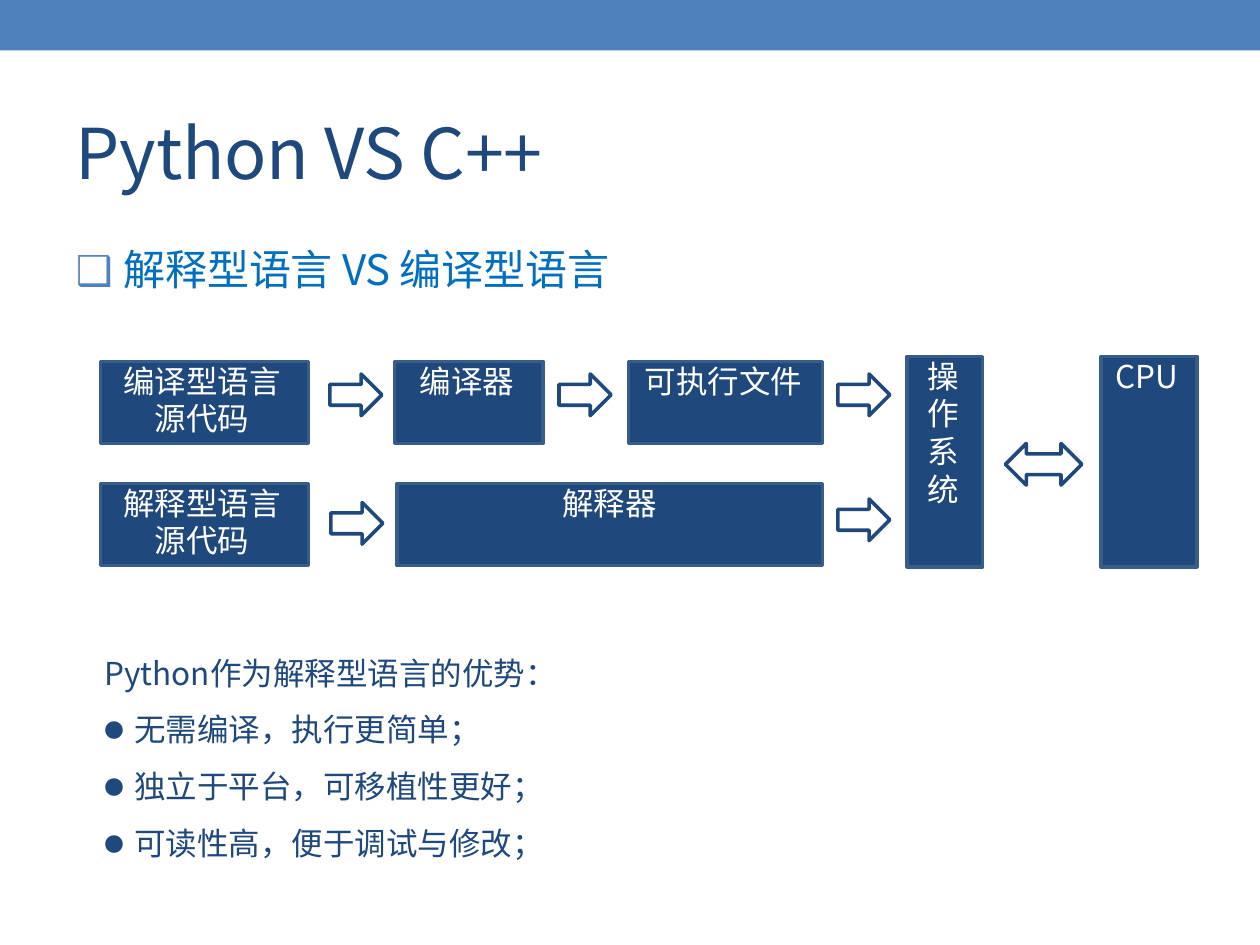
from pptx import Presentation
from pptx.dml.color import RGBColor
from pptx.enum.shapes import MSO_SHAPE
from pptx.enum.text import MSO_ANCHOR, PP_ALIGN
from pptx.oxml.ns import qn
from pptx.util import Cm, Pt

RECT, ARROW, TWO_WAY = MSO_SHAPE.RECTANGLE, MSO_SHAPE.RIGHT_ARROW, MSO_SHAPE.LEFT_RIGHT_ARROW
TOP = MSO_ANCHOR.TOP
LEFT, CENTER = PP_ALIGN.LEFT, PP_ALIGN.CENTER
CJK_FONT, SYMBOL_FONT = "Noto Sans CJK SC", "Karla"
NAVY, BLUE, SKY, EDGE, WHITE = "1F487C", "4F81BC", "006FC0", "385D89", "FFFFFF"
BOX_HEIGHT, ROW_PITCH = 1.65, 2.46


def rgb(color):
    return RGBColor.from_string(color)


def style_run(run, size, color, font=CJK_FONT, spacing=0):
    """Spacing is the tracking in points."""
    run.font.size = Pt(size)
    run.font.name = font
    run.font.color.rgb = rgb(color)
    properties = run.font._element
    properties.set("spc", str(round(spacing * 100)))
    east_asian = properties.makeelement(qn("a:ea"), {"typeface": font})
    properties.find(qn("a:latin")).addnext(east_asian)


def indent(paragraph, left, first=0):
    properties = paragraph._p.get_or_add_pPr()
    properties.set("marL", str(Cm(left)))
    properties.set("indent", str(Cm(first)))


def add_bullet(paragraph, char):
    properties = paragraph._p.get_or_add_pPr()
    for tag, value in (("a:buFont", {"typeface": SYMBOL_FONT}), ("a:buChar", {"char": char})):
        properties.append(properties.makeelement(qn(tag), value))


def prepare_frame(shape):
    frame = shape.text_frame
    frame.margin_left = frame.margin_right = frame.margin_top = frame.margin_bottom = 0
    frame.word_wrap = True
    frame.vertical_anchor = TOP
    return frame


def add_panel(slide, kind, left, top, width, height, fill=None, line=None):
    shape = slide.shapes.add_shape(kind, Cm(left), Cm(top), Cm(width), Cm(height))
    shape.shadow.inherit = False
    if fill:
        shape.fill.solid()
        shape.fill.fore_color.rgb = rgb(fill)
    else:
        shape.fill.background()
    if line:
        shape.line.color.rgb = rgb(line)
        shape.line.width = Pt(2.04)
    else:
        shape.line.fill.background()
    return shape


def add_stage(slide, label, left, top, width, height=BOX_HEIGHT, margin=0, first=0, align=LEFT):
    box = add_panel(slide, RECT, left, top, width, height, NAVY, EDGE)
    paragraph = prepare_frame(box).paragraphs[0]
    paragraph.text = label
    paragraph.alignment = align
    indent(paragraph, margin, first)
    style_run(paragraph.runs[0], 18, WHITE)


def add_arrow(slide, left, top, kind=ARROW, width=1.05):
    add_panel(slide, kind, left, top, width, 0.84, line=NAVY)


def add_heading(slide, left, top, width, height):
    frame = prepare_frame(slide.shapes.add_textbox(Cm(left), Cm(top), Cm(width), Cm(height)))
    title = frame.paragraphs[0]
    title.text = "Python VS C++"
    style_run(title.runs[0], 40, NAVY, spacing=-0.1)
    topic = frame.add_paragraph()
    topic.space_before = Pt(28.4)
    marker, words = topic.add_run(), topic.add_run()
    marker.text = "❑ "
    words.text = "解释型语言 VS 编译型语言"
    style_run(marker, 23.5, BLUE, SYMBOL_FONT, 0.3)
    style_run(words, 24, SKY, spacing=-0.1)
    for paragraph in frame.paragraphs:
        indent(paragraph, 0.03)


def add_pipelines(slide, left, top, height):
    """Compiled route above, interpreted route below, both into the system and CPU."""
    compiled = top + 0.1
    interpreted = compiled + ROW_PITCH
    for source, row in (("编译型语言 源代码", compiled), ("解释型语言 源代码", interpreted)):
        add_stage(slide, source, left, row, 4.19, margin=1.09, first=-0.63)
    add_stage(slide, "编译器", left + 5.92, compiled, 3, margin=0.51)
    add_stage(slide, "可执行文件", left + 10.64, compiled, 3.91, margin=0.33)
    add_stage(slide, "解释器", left + 5.97, interpreted, 8.58, align=CENTER)
    for offset in (4.62, 9.24, 14.86):
        add_arrow(slide, left + offset, compiled + 0.25)
    add_arrow(slide, left + 4.64, interpreted + 0.38)
    add_arrow(slide, left + 14.86, interpreted + 0.31)
    add_stage(slide, "操 作 系 统", left + 16.26, top, 1.52, height, margin=0.41)
    add_arrow(slide, left + 18.24, top + 1.75, TWO_WAY, 1.54)
    add_stage(slide, "CPU", left + 20.17, top, 1.93, height, margin=0.28)


def add_advantages(slide, left, top, width, height):
    frame = prepare_frame(slide.shapes.add_textbox(Cm(left), Cm(top), Cm(width), Cm(height)))
    intro = frame.paragraphs[0]
    intro.text = "Python作为解释型语言的优势："
    indent(intro, 0.03)
    style_run(intro.runs[0], 18, NAVY)
    for advantage in ("无需编译，执行更简单；", "独立于平台，可移植性更好；", "可读性高，便于调试与修改；"):
        item = frame.add_paragraph()
        item.text = advantage
        indent(item, 0.63, -0.6)
        add_bullet(item, "⚫")
        item.space_before = Pt(10.8)
        style_run(item.runs[0], 18, NAVY)


def main():
    presentation = Presentation()
    presentation.slide_width, presentation.slide_height = Cm(25.4), Cm(19.05)
    slide = presentation.slides.add_slide(presentation.slide_layouts[6])
    add_panel(slide, RECT, 0, 0, 25.4, 1.02, BLUE)
    add_heading(slide, 1.5, 2.21, 11.13, 3.51)
    add_pipelines(slide, 2.03, 7.19, 4.24)
    add_advantages(slide, 2.08, 13.18, 9.19, 4.14)
    presentation.save("out.pptx")


if __name__ == "__main__":
    main()
